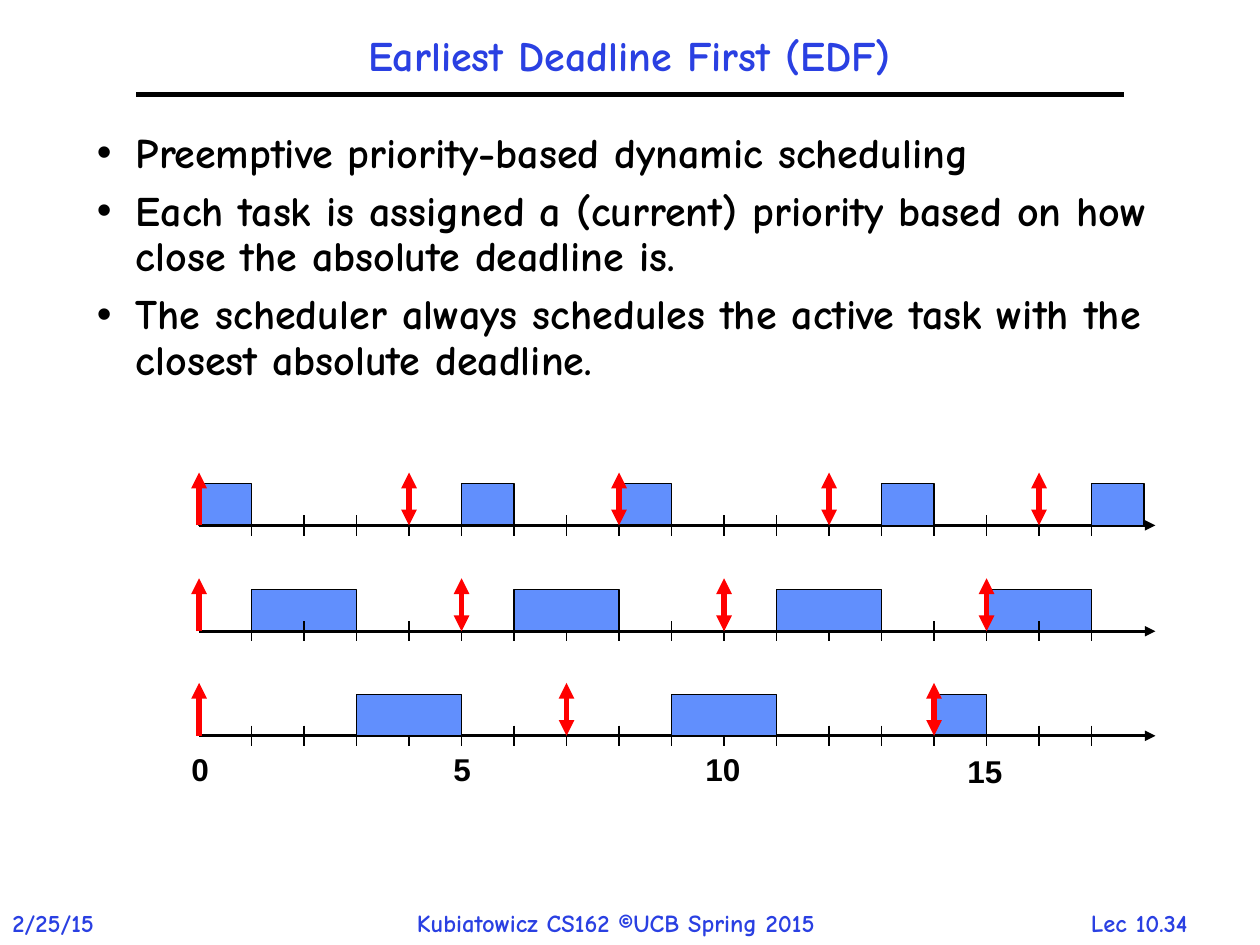
from dataclasses import dataclass

from lxml import etree
from pptx import Presentation
from pptx.dml.color import RGBColor
from pptx.enum.shapes import MSO_CONNECTOR, MSO_SHAPE
from pptx.enum.text import MSO_ANCHOR, PP_ALIGN
from pptx.oxml.ns import qn
from pptx.util import Inches, Pt

STRAIGHT = MSO_CONNECTOR.STRAIGHT
RECTANGLE = MSO_SHAPE.RECTANGLE
LEFT, CENTER = PP_ALIGN.LEFT, PP_ALIGN.CENTER
TOP, MIDDLE = MSO_ANCHOR.TOP, MSO_ANCHOR.MIDDLE


@dataclass(frozen=True)
class Theme:
    blue: str = "2A40E2"
    black: str = "000000"
    red: str = "FF0000"
    bar: str = "618FFD"
    text_font: str = "Comic Neue"
    label_font: str = "Arial"
    heading_size: float = 24
    label_size: float = 18
    footer_size: float = 14
    thin: float = 0.75
    medium: float = 1.5
    thick: float = 3


@dataclass(frozen=True)
class Run:
    """One stretch of execution, in time units."""
    start: int
    length: int
    hides_ticks: bool = False


@dataclass(frozen=True)
class Task:
    axis_y: float
    runs: tuple[Run, ...]
    deadlines: tuple[int, ...]


@dataclass(frozen=True)
class Label:
    text: str
    left: float
    top: float
    width: float
    height: float


THEME = Theme()
ORIGIN_X, AXIS_END, UNIT = 1.58, 9.17, 5 / 12
LAST_TICK, TICK_HALF = 17, 0.08
BAR_HEIGHT, ARROW_HEIGHT = 0.33, 0.42

TASKS = (
    Task(4.17, (Run(0, 1), Run(5, 1), Run(8, 1), Run(13, 1, True), Run(17, 1, True)),
         (4, 8, 12, 16)),
    Task(5.01, (Run(1, 2), Run(6, 2, True), Run(11, 2, True), Run(15, 2)), (5, 10, 15)),
    Task(5.84, (Run(3, 2, True), Run(9, 2, True), Run(14, 1)), (7, 14)),
)
TIME_LABELS = (
    Label("0", 1.42, 5.9, 0.67, 0.4),
    Label("5", 3.5, 5.9, 0.67, 0.4),
    Label("10", 5.5, 5.9, 0.67, 0.4),
    Label("15", 7.58, 5.92, 0.67, 0.4),
)
FOOTERS = (
    Label("2/25/15", 0, 7.16, 1, 0.34),
    Label("Kubiatowicz CS162 ©UCB Spring 2015", 3.21, 7.16, 3.87, 0.34),
    Label("Lec 10.34", 8.56, 7.16, 1.33, 0.34),
)
BULLETS = (
    "Preemptive priority-based dynamic scheduling",
    "Each task is assigned a (current) priority based on how close the absolute deadline is.",
    "The scheduler always schedules the active task with the closest absolute deadline.",
)


def time_x(time: int) -> float:
    return ORIGIN_X + time * UNIT


def add_bullet(para) -> None:
    properties = para._p.get_or_add_pPr()
    properties.set("marL", str(Inches(0.31)))
    properties.set("indent", str(-Inches(0.31)))
    etree.SubElement(properties, qn("a:buFont")).set("typeface", THEME.label_font)
    etree.SubElement(properties, qn("a:buChar")).set("char", "•")


def add_text(slide, paragraphs: tuple[str, ...], left: float, top: float, width: float,
             height: float, *, size: float, color: str = THEME.black,
             font: str = THEME.text_font, align=LEFT, anchor=TOP, wrap: bool = True,
             line_spacing: float = 1.0, gap: float = 0, bulleted: bool = False) -> None:
    box = slide.shapes.add_textbox(Inches(left), Inches(top), Inches(width), Inches(height))
    frame = box.text_frame
    frame.word_wrap = wrap
    frame.vertical_anchor = anchor
    for index, text in enumerate(paragraphs):
        para = frame.add_paragraph() if index else frame.paragraphs[0]
        if bulleted:
            add_bullet(para)
        para.alignment = align
        para.line_spacing = line_spacing
        para.space_before = Pt(gap if index else 0)
        span = para.add_run()
        span.text = text
        span.font.name = font
        span.font.size = Pt(size)
        span.font.bold = True
        span.font.color.rgb = RGBColor.from_string(color)


def add_line(slide, x1: float, y1: float, x2: float, y2: float, *, width: float,
             color: str = THEME.black, head: bool = False, tail: bool = False) -> None:
    """Draw a straight line; head and tail put arrowheads at its start and end."""
    connector = slide.shapes.add_connector(
        STRAIGHT, Inches(x1), Inches(y1), Inches(x2), Inches(y2))
    connector.line.color.rgb = RGBColor.from_string(color)
    connector.line.width = Pt(width)
    outline = connector.line._get_or_add_ln()
    for tag, wanted in (("a:headEnd", head), ("a:tailEnd", tail)):
        if wanted:
            etree.SubElement(outline, qn(tag)).set("type", "triangle")
    etree.SubElement(connector._element.spPr, qn("a:effectLst"))


def add_runs(slide, task: Task, hides_ticks: bool) -> None:
    for run in task.runs:
        if run.hides_ticks != hides_ticks:
            continue
        bar = slide.shapes.add_shape(
            RECTANGLE, Inches(time_x(run.start)), Inches(task.axis_y - BAR_HEIGHT),
            Inches(run.length * UNIT), Inches(BAR_HEIGHT))
        bar.shadow.inherit = False
        bar.fill.solid()
        bar.fill.fore_color.rgb = RGBColor.from_string(THEME.bar)
        bar.line.color.rgb = RGBColor.from_string(THEME.black)
        bar.line.width = Pt(THEME.thin)


def add_timeline(slide, task: Task) -> None:
    y = task.axis_y
    add_runs(slide, task, hides_ticks=False)
    add_line(slide, ORIGIN_X, y, AXIS_END, y, width=THEME.medium, tail=True)
    add_line(slide, ORIGIN_X, y, ORIGIN_X, y - BAR_HEIGHT, width=THEME.medium)
    for time in range(1, LAST_TICK + 1):
        x = time_x(time)
        add_line(slide, x, y - TICK_HALF, x, y + TICK_HALF, width=THEME.thin)
    add_runs(slide, task, hides_ticks=True)
    for time in (0, *task.deadlines):
        x = time_x(time)
        add_line(slide, x, y, x, y - ARROW_HEIGHT, width=THEME.thick,
                 color=THEME.red, head=time > 0, tail=True)


def main() -> None:
    deck = Presentation()
    deck.slide_width, deck.slide_height = Inches(10), Inches(7.5)
    slide = deck.slides.add_slide(deck.slide_layouts[6])

    add_line(slide, 1.08, 0.75, 8.92, 0.75, width=THEME.thick)
    add_text(slide, ("Earliest Deadline First (EDF)",), 1.08, 0.17, 7.83, 0.58,
             size=THEME.heading_size, color=THEME.blue, align=CENTER, anchor=MIDDLE,
             line_spacing=0.9)
    add_text(slide, BULLETS, 0.67, 1, 8.67, 5.58, size=THEME.heading_size,
             line_spacing=0.9, gap=7.2, bulleted=True)
    for task in TASKS:
        add_timeline(slide, task)
    for label in TIME_LABELS:
        add_text(slide, (label.text,), label.left, label.top, label.width, label.height,
                 size=THEME.label_size, font=THEME.label_font)
    for footer in FOOTERS:
        add_text(slide, (footer.text,), footer.left, footer.top, footer.width, footer.height,
                 size=THEME.footer_size, color=THEME.blue, wrap=False)
    deck.save("out.pptx")


if __name__ == "__main__":
    main()
